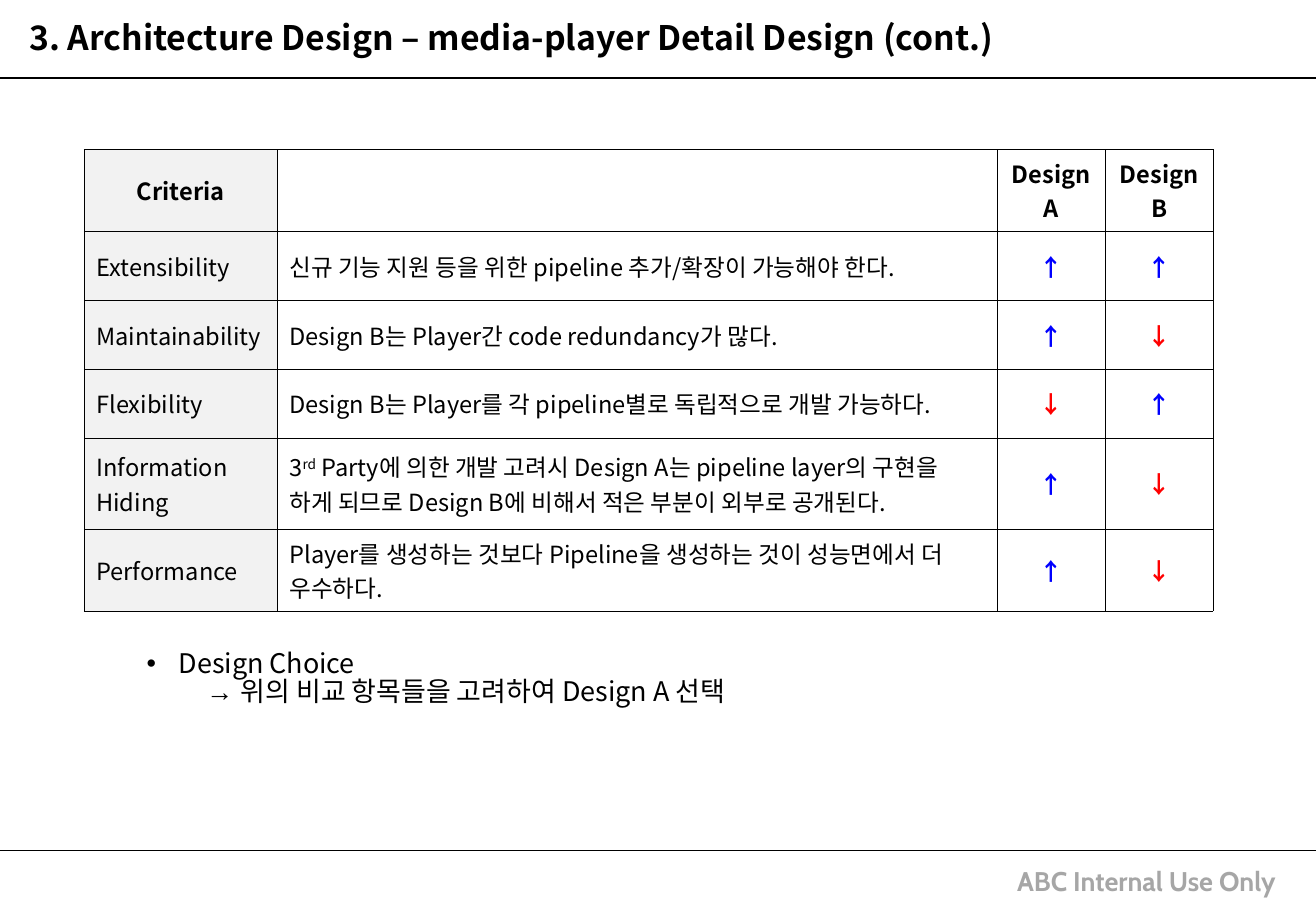
from lxml import etree
from pptx import Presentation
from pptx.dml.color import RGBColor
from pptx.enum.shapes import MSO_CONNECTOR
from pptx.enum.text import MSO_ANCHOR, PP_ALIGN
from pptx.oxml.ns import qn
from pptx.util import Cm, Pt

BLACK = RGBColor(0, 0, 0)
GRAY = RGBColor(0xA6, 0xA6, 0xA6)
PALE = RGBColor(0xF2, 0xF2, 0xF2)
BLUE = RGBColor(0, 0, 0xFF)
RED = RGBColor(0xFF, 0, 0)
STRAIGHT = MSO_CONNECTOR.STRAIGHT
MIDDLE = MSO_ANCHOR.MIDDLE
LEFT, CENTER = PP_ALIGN.LEFT, PP_ALIGN.CENTER
NOTO, ARIAL, CABIN = "Noto Sans CJK KR", "Arial", "Cabin"

WIDTH, HEIGHT = 27.53, 19.05
TITLE = "3. Architecture Design – media-player Detail Design (cont.)"
FOOTER = "ABC Internal Use Only"
CHOICE = ["Design Choice"]
RESULT = ["→ ", "위의 비교 항목들을 고려하여 Design A 선택"]
RULES = [1.63, 17.78]

COLS = [4.04, 15.06, 2.26, 2.26]
ROWS = [1.72, 1.44, 1.44, 1.44, 1.9, 1.72]
# A tuple holds the runs of one cell; its second run is raised.
CRITERIA = [
    ["Criteria", "", "Design A", "Design B"],
    ["Extensibility",
     "신규 기능 지원 등을 위한 pipeline 추가/확장이 가능해야 한다.", "↑", "↑"],
    ["Maintainability",
     "Design B는 Player간 code redundancy가 많다.", "↑", "↓"],
    ["Flexibility",
     "Design B는 Player를 각 pipeline별로 독립적으로 개발 가능하다.", "↓", "↑"],
    ["Information Hiding",
     ("3", "rd", " Party에 의한 개발 고려시 Design A는 pipeline layer의 구현을 "
      "하게 되므로 Design B에 비해서 적은 부분이 외부로 공개된다."), "↑", "↓"],
    ["Performance",
     "Player를 생성하는 것보다 Pipeline을 생성하는 것이 성능면에서 더 우수하다.",
     "↑", "↓"],
]
ARROWS = {"↑": BLUE, "↓": RED}


def style(run, size, color=BLACK, bold=False, name=NOTO):
    font = run.font
    font.size, font.bold, font.name = Pt(size), bold, name
    font.color.rgb = color
    props = run._r.get_or_add_rPr()
    etree.SubElement(props, qn("a:ea")).set("typeface", name)


def add_runs(para, texts, *look):
    for text in texts:
        run = para.add_run()
        run.text = text
        style(run, *look)


def add_box(slide, left, top, width, height):
    box = slide.shapes.add_textbox(Cm(left), Cm(top), Cm(width), Cm(height))
    box.text_frame.word_wrap = True
    return box.text_frame


def add_rule(slide, y):
    rule = slide.shapes.add_connector(STRAIGHT, 0, Cm(y), Cm(WIDTH), Cm(y))
    rule.line.color.rgb = BLACK
    rule.line.width = Pt(0.75)
    etree.SubElement(rule._element.spPr, qn("a:effectLst"))


def add_border(cell):
    props = cell._tc.get_or_add_tcPr()
    for side in "LRTB":
        line = etree.SubElement(props, qn("a:ln" + side), w=str(Pt(0.23)))
        fill = etree.SubElement(line, qn("a:solidFill"))
        etree.SubElement(fill, qn("a:srgbClr"), val=str(BLACK))


def fill_cell(cell, text, row, col):
    add_border(cell)
    if col == 0:
        cell.fill.solid()
        cell.fill.fore_color.rgb = PALE
    else:
        cell.fill.background()
    cell.vertical_anchor = MIDDLE
    para = cell.text_frame.paragraphs[0]
    para.alignment = CENTER if row == 0 or col > 1 else LEFT
    if not text:
        return
    parts = text if isinstance(text, tuple) else (text,)
    bold = row == 0 or text in ARROWS
    add_runs(para, parts, 14, ARROWS.get(text, BLACK), bold)
    if len(parts) > 1:
        para.runs[1]._r.get_or_add_rPr().set("baseline", "30000")


def add_criteria(slide):
    frame = slide.shapes.add_table(len(ROWS), len(COLS), Cm(1.76), Cm(3.12),
                                   Cm(sum(COLS)), Cm(sum(ROWS)))
    table = frame.table
    table.first_row = table.horz_banding = False
    for col, width in zip(table.columns, COLS):
        col.width = Cm(width)
    for row, height in zip(table.rows, ROWS):
        row.height = Cm(height)
    for r, texts in enumerate(CRITERIA):
        for c, text in enumerate(texts):
            fill_cell(table.cell(r, c), text, r, c)


def add_choice(slide):
    frame = add_box(slide, 2.82, 13.51, 22.96, 1.63)
    head, result = frame.paragraphs[0], frame.add_paragraph()
    props = head._p.get_or_add_pPr()
    props.set("marL", str(Cm(0.67)))
    props.set("indent", str(-Cm(0.67)))
    etree.SubElement(props, qn("a:buFont"), typeface=ARIAL)
    etree.SubElement(props, qn("a:buChar"), char="•")
    result.level = 1
    props = result._p.get_or_add_pPr()
    props.set("marL", str(Cm(1.25)))
    props.set("indent", "0")
    head.line_spacing = result.line_spacing = 0.85
    add_runs(head, CHOICE, 16)
    add_runs(result, RESULT[:1], 16, BLACK, False, ARIAL)
    add_runs(result, RESULT[1:], 16)


def main():
    deck = Presentation()
    deck.slide_width, deck.slide_height = Cm(WIDTH), Cm(HEIGHT)
    slide = deck.slides.add_slide(deck.slide_layouts[6])
    for y in RULES:
        add_rule(slide, y)
    footer = add_box(slide, 21.03, 17.96, 6.4, 0.94).paragraphs[0]
    add_runs(footer, [FOOTER], 16, GRAY, True, CABIN)
    title = add_box(slide, 0.36, 0.36, 26.21, 1.12).paragraphs[0]
    title.line_spacing = 0.85
    add_runs(title, [TITLE], 20, BLACK, True)
    add_choice(slide)
    add_criteria(slide)
    deck.save("out.pptx")


if __name__ == "__main__":
    main()
